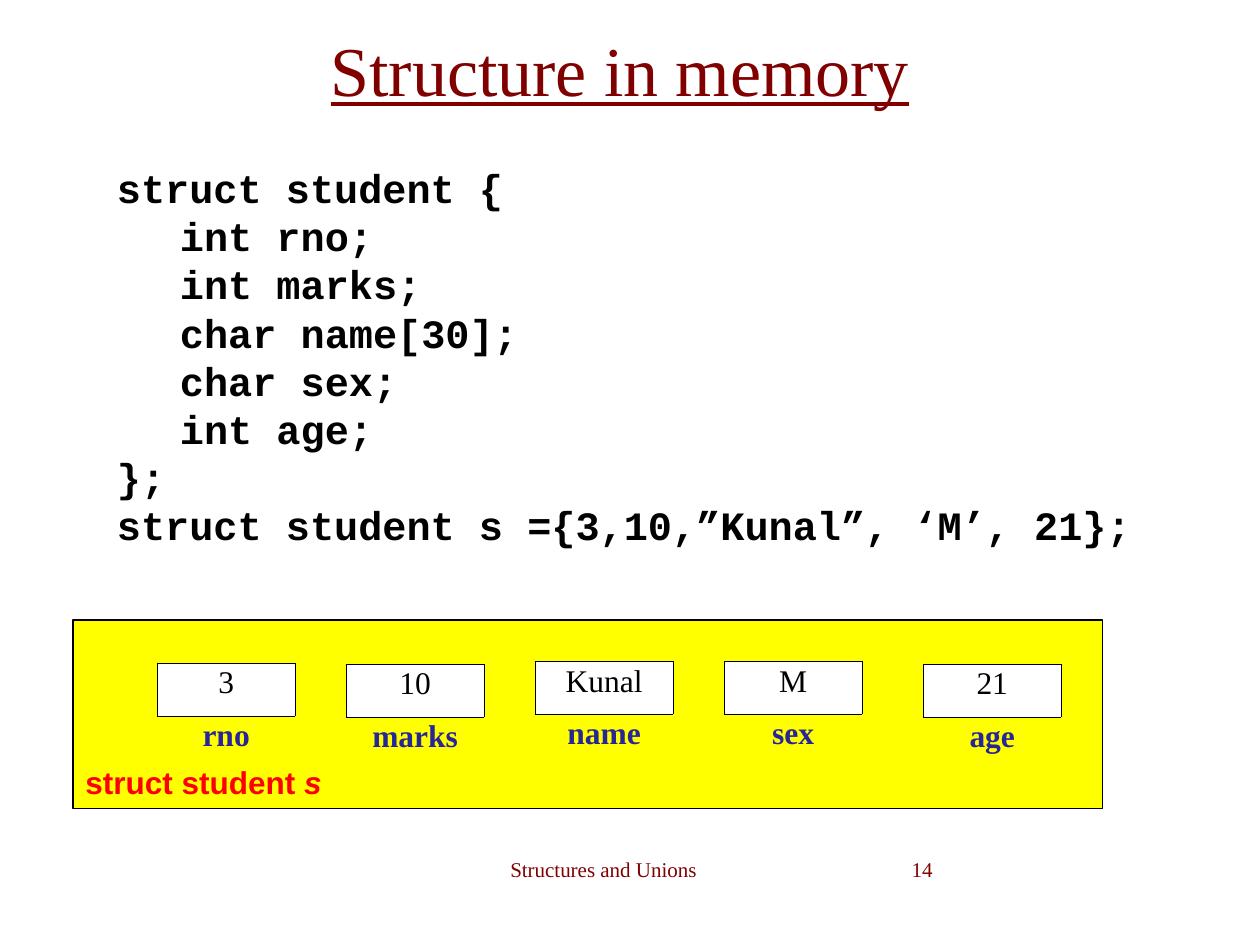
from lxml.etree import SubElement
from pptx import Presentation
from pptx.dml.color import RGBColor
from pptx.enum.shapes import MSO_SHAPE
from pptx.enum.text import MSO_ANCHOR, MSO_AUTO_SIZE, PP_ALIGN
from pptx.oxml.ns import qn
from pptx.util import Inches, Pt

BLACK = RGBColor(0x00, 0x00, 0x00)
WHITE = RGBColor(0xFF, 0xFF, 0xFF)
YELLOW = RGBColor(0xFF, 0xFF, 0x00)
RED = RGBColor(0xFF, 0x00, 0x00)
MAROON = RGBColor(0x80, 0x00, 0x00)
NAVY = RGBColor(0x26, 0x26, 0x99)
SERIF = "Times New Roman"

CODE = [
    "struct student {\v\tint rno;\v\tint marks;\v\tchar name[30];\v\tchar sex;",
    "\tint age;",
    "};",
    "struct student s ={3,10,”Kunal”, ‘M’, 21};",
]
# left, top, value, member name
MEMBERS = [
    (1.25, 5.26, "3", "rno"),
    (2.75, 5.27, "10", "marks"),
    (4.25, 5.25, "Kunal", "name"),
    (5.75, 5.25, "M", "sex"),
    (7.33, 5.27, "21", "age"),
]


def style_runs(p, size, color, name=SERIF, bold=False):
    for r in p.runs:
        r.font.size = Pt(size)
        r.font.name = name
        r.font.bold = bold
        r.font.color.rgb = color


def add_text(s, left, top, width, height, text, size, align=PP_ALIGN.LEFT):
    box = s.shapes.add_textbox(Inches(left), Inches(top), Inches(width), Inches(height))
    tf = box.text_frame
    tf.word_wrap = True
    tf.text = text
    p = tf.paragraphs[0]
    p.alignment = align
    style_runs(p, size, MAROON)
    return tf


def add_code(s):
    box = s.shapes.add_textbox(Inches(0.33), Inches(1.25), Inches(9.5), Inches(3.17))
    tf = box.text_frame
    tf.word_wrap = True
    for i, text in enumerate(CODE):
        p = tf.paragraphs[0] if i == 0 else tf.add_paragraph()
        p.text = text
        p.line_spacing = Pt(27.5)
        pPr = p._p.get_or_add_pPr()
        pPr.set("marL", str(Inches(0.5)))
        pPr.set("indent", "0")
        tabs = SubElement(pPr, qn("a:tabLst"))
        for stop in (0.5, 1):
            SubElement(tabs, qn("a:tab"), pos=str(Inches(stop)), algn="l")
        style_runs(p, 23, BLACK, "Courier New", bold=True)


def add_memory_block(s):
    sp = s.shapes.add_shape(MSO_SHAPE.RECTANGLE, Inches(0.58), Inches(4.92),
                            Inches(8.17), Inches(1.5))
    sp.shadow.inherit = False
    sp.fill.solid()
    sp.fill.fore_color.rgb = YELLOW
    sp.line.color.rgb = BLACK
    sp.line.width = Pt(0.75)


def add_block_label(s):
    tf = add_text(s, 0.58, 6.01, 2.1, 0.4, "struct student ", 18)
    tf.word_wrap = False
    tf.auto_size = MSO_AUTO_SIZE.SHAPE_TO_FIT_TEXT
    p = tf.paragraphs[0]
    r = p.add_run()
    r.text = "s"
    r.font.italic = True
    style_runs(p, 18, RED, "Arial", bold=True)


def set_borders(cell, visible):
    """Draw the named sides in black and hide the others, ahead of the fill."""
    tcPr = cell._tc.get_or_add_tcPr()
    for i, side in enumerate(("L", "R", "T", "B")):
        ln = SubElement(tcPr, qn(f"a:ln{side}"), w=str(Pt(0.11)))
        if side in visible:
            fill = SubElement(ln, qn("a:solidFill"))
            SubElement(fill, qn("a:srgbClr"), val=str(BLACK))
        else:
            SubElement(ln, qn("a:noFill"))
        tcPr.insert(i, ln)


def fill_cell(cell, text, color, bold, borders):
    cell.text = text
    p = cell.text_frame.paragraphs[0]
    p.alignment = PP_ALIGN.CENTER
    p.line_spacing = 0.87
    style_runs(p, 18, color, bold=bold)
    cell.margin_left = cell.margin_right = Inches(0.1)
    cell.margin_top = cell.margin_bottom = Inches(0.05)
    set_borders(cell, borders)


def add_member(s, left, top, value, label):
    table = s.shapes.add_table(2, 1, Inches(left), Inches(top),
                               Inches(1.09), Inches(0.84)).table
    table.first_row = table.horz_banding = False
    value_cell, label_cell = table.cell(0, 0), table.cell(1, 0)
    value_cell.fill.solid()
    value_cell.fill.fore_color.rgb = WHITE
    label_cell.fill.background()
    fill_cell(value_cell, value, BLACK, False, "LRTB")
    fill_cell(label_cell, label, NAVY, True, "T")


def main():
    prs = Presentation()
    prs.slide_width, prs.slide_height = Inches(10), Inches(7.5)
    s = prs.slides.add_slide(prs.slide_layouts[6])

    add_memory_block(s)
    title = add_text(s, 0.67, 0, 8.5, 1.08, "Structure in memory", 40, PP_ALIGN.CENTER)
    title.vertical_anchor = MSO_ANCHOR.MIDDLE
    title.paragraphs[0].runs[0].font.underline = True
    add_text(s, 3.83, 6.75, 1.92, 0.5, "Structures and Unions", 12, PP_ALIGN.CENTER)
    add_text(s, 6.67, 6.75, 0.83, 0.42, "14", 12, PP_ALIGN.RIGHT)
    add_code(s)
    for member in MEMBERS:
        add_member(s, *member)
    add_block_label(s)

    prs.save("out.pptx")


if __name__ == "__main__":
    main()
